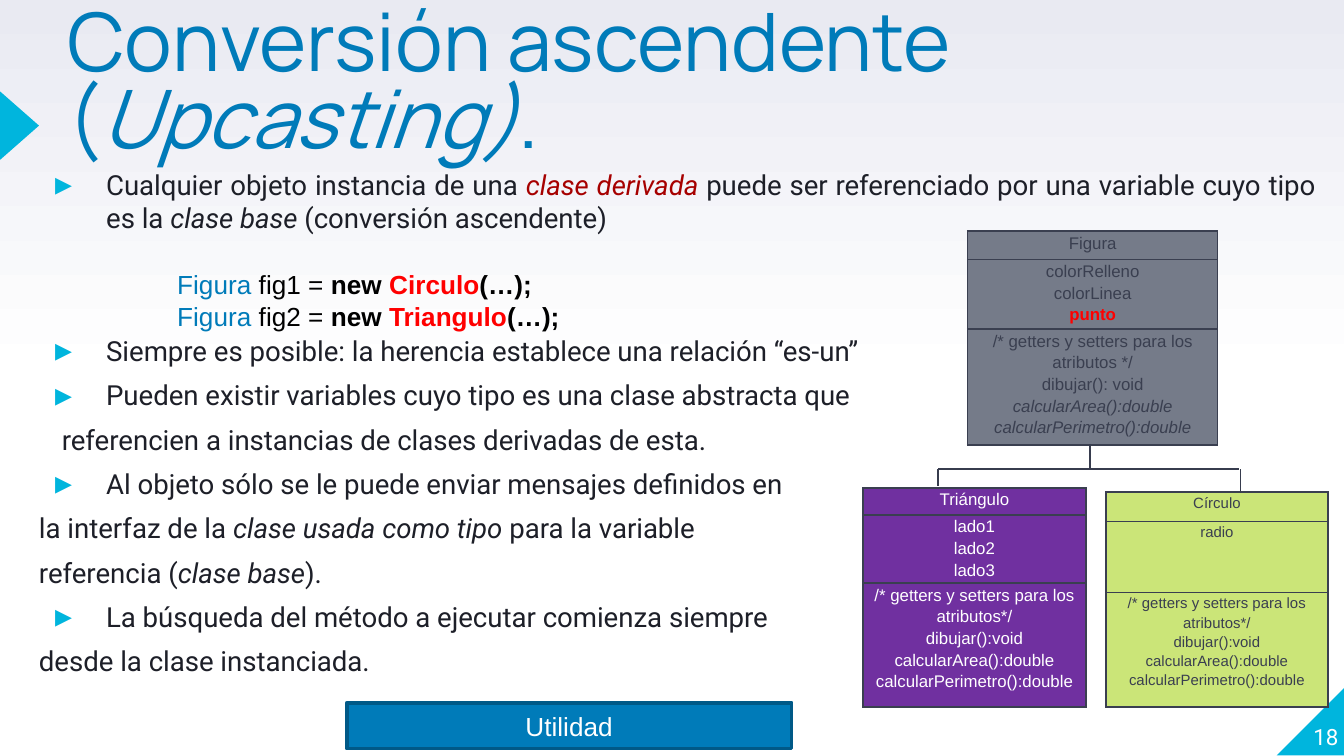
from copy import deepcopy

from lxml import etree
from pptx import Presentation
from pptx import util as u
from pptx.dml.color import RGBColor
from pptx.enum import shapes, text
from pptx.oxml.ns import qn

Inches, Pt = u.Inches, u.Pt
COLORS = {
    "cyan": "00B5DD", "blue": "007BB9", "navy": "005987", "ink": "1D1F28",
    "dark_red": "A60000", "red": "FF0000", "black": "000000", "white": "FFFFFF",
    "mist": "E9EAF2", "slate": "3A3F50", "line": "373C4E",
    "gray": "757B89", "lime": "CBE578", "purple": "7030A0",
}
RGB = {name: RGBColor.from_string(value) for name, value in COLORS.items()}
ALIGN = text.PP_ALIGN


def add_runs(paragraph, runs, **base):
    """Add (text, format) runs, each format overriding the base one."""
    for words, changes in runs:
        run = paragraph.add_run()
        run.text = words
        for key, value in {"bold": False, "italic": False, **base, **changes}.items():
            if key == "color":
                run.font.color.rgb = RGB[value]
            else:
                setattr(run.font, key, value)


def set_frame(frame, margins=(0, 0, 0, 0), anchor=text.MSO_ANCHOR.TOP):
    """Set wrapping, anchor and margins (left, top, right, bottom)."""
    frame.word_wrap = True
    frame.auto_size = text.MSO_AUTO_SIZE.NONE
    frame.vertical_anchor = anchor
    for side, margin in zip(("left", "top", "right", "bottom"), margins):
        setattr(frame, f"margin_{side}", Inches(margin))


prs = Presentation()
prs.slide_width = Inches(10)
prs.slide_height = Inches(10) * 9 // 16
slide = prs.slides.add_slide(prs.slide_layouts[5])

# Background: white, with a light tint towards the top
background = slide.background.fill
background.gradient()
background.gradient_angle = 90
first_stop = next(slide.element.iter(qn("a:gs")))
first_stop.addnext(deepcopy(first_stop))
for stop, position, color in zip(background.gradient_stops, (0, 0.5, 1), ("white", "white", "mist")):
    stop.position = position
    stop.color.rgb = RGB[color]

# Corner and title marker
corner = slide.shapes.add_shape(
    shapes.MSO_SHAPE.RIGHT_TRIANGLE, Inches(9.5), Inches(5.11), Inches(0.51), Inches(0.51))
corner.element.spPr.find(qn("a:xfrm")).set("flipH", "1")
marker = slide.shapes.add_shape(
    shapes.MSO_SHAPE.ISOSCELES_TRIANGLE, Inches(-0.11), Inches(0.79), Inches(0.51), Inches(0.29))
marker.rotation = 90
for ornament in (corner, marker):
    ornament.shadow.inherit = False
    ornament.fill.solid()
    ornament.fill.fore_color.rgb = RGB["cyan"]
    ornament.line.fill.background()

# Title
title = slide.shapes.title
title.left, title.top, title.width, title.height = map(Inches, (0.5, 0.07, 9.5, 1.18))
set_frame(title.text_frame)
heading = title.text_frame.paragraphs[0]
heading.alignment = ALIGN.LEFT
heading.line_spacing = 0.8
add_runs(heading, [("Conversión ascendente (", {}), ("Upcasting)", {"italic": True}), (".", {})],
         name="Manrope", size=Pt(43.2), color="blue")

# Slide number
number = slide.shapes.add_textbox(Inches(9.46), Inches(5.07), Inches(0.5), Inches(0.51)).text_frame
set_frame(number, anchor=text.MSO_ANCHOR.BOTTOM)
number.paragraphs[0].alignment = ALIGN.RIGHT
add_runs(number.paragraphs[0], [("18", {})], name="Roboto", size=Pt(12), color="white")

# Explanation: (bulleted, left margin, space before, runs)
ITALIC = {"italic": True}
CODE_GAP = 53.4  # leaves room for the code sample
points = [
    (True, 0.5, 6, [("Cualquier objeto instancia de una ", {}),
                    ("clase derivada ", {"italic": True, "color": "dark_red"}),
                    ("puede ser referenciado por una variable cuyo tipo es la ", {}),
                    ("clase base ", ITALIC), ("(conversión ascendente)", {})]),
    (True, 0.5, CODE_GAP, [("Siempre es posible: la herencia establece una relación “es-un”", {})]),
    (True, 0.5, 6, [("Pueden existir variables cuyo tipo es una clase abstracta que", {})]),
    (False, 0.17, 6, [("referencien a instancias de clases derivadas de esta.", {})]),
    (True, 0.5, 6, [("Al objeto sólo se le puede enviar mensajes definidos en", {})]),
    (False, 0, 6, [("la interfaz de la ", {}), ("clase usada como tipo", ITALIC),
                   (" para la variable", {})]),
    (False, 0, 6, [("referencia (", {}), ("clase base", ITALIC), (").", {})]),
    (True, 0.5, 6, [("La búsqueda del método a ejecutar comienza siempre", {})]),
    (False, 0, 6, [("desde la clase instanciada.", {})]),
]
body = slide.shapes.add_textbox(Inches(0.29), Inches(1.25), Inches(9.5), Inches(4)).text_frame
set_frame(body)
for index, (bulleted, margin, gap, runs) in enumerate(points):
    paragraph = body.add_paragraph() if index else body.paragraphs[0]
    paragraph.alignment = ALIGN.JUSTIFY
    paragraph.space_before = Pt(gap)
    props = paragraph._p.get_or_add_pPr()
    props.set("marL", str(Inches(margin)))
    props.set("indent", str(Inches(-0.38 if bulleted else 0)))
    if bulleted:
        bullet_color = etree.SubElement(props, qn("a:buClr"))
        etree.SubElement(bullet_color, qn("a:srgbClr"), val=COLORS["cyan"])
        etree.SubElement(props, qn("a:buSzPct"), val="122000")
        etree.SubElement(props, qn("a:buFont"), typeface="Roboto")
        etree.SubElement(props, qn("a:buChar"), char="▸")
    add_runs(paragraph, runs, name="Roboto", size=Pt(14.8), color="ink")

# Code sample
code = slide.shapes.add_textbox(Inches(1.22), Inches(1.95), Inches(4.02), Inches(0.57)).text_frame
set_frame(code, (0.1, 0.05, 0.1, 0.05))
for index, (variable, subclass) in enumerate([("fig1", "Circulo"), ("fig2", "Triangulo")]):
    statement = code.add_paragraph() if index else code.paragraphs[0]
    add_runs(statement, [("Figura", {"color": "blue"}), (f" {variable} = ", {}),
                         ("new ", {"bold": True}), (subclass, {"bold": True, "color": "red"}),
                         ("(…);", {"bold": True})],
             name="Arial", size=Pt(14), color="black")

# Class diagram: left, top, width, row heights, fill, font size, text colour, rows
METHODS = ["/* getters y setters para los atributos*/", "dibujar():void",
           "calcularArea():double", "calcularPerimetro():double"]
FIGURE_METHODS = ["/* getters y setters para los atributos */", "dibujar(): void", *METHODS[2:]]
classes = [
    (7.2, 1.72, 1.86, (0.21, 0.52, 0.86), "gray", 9, "slate",
     (["Figura"], ["colorRelleno", "colorLinea", "punto"], FIGURE_METHODS)),
    (8.23, 3.66, 1.65, (0.22, 0.53, 0.85), "lime", 8, "slate",
     (["Círculo"], ["radio"], METHODS)),
    (6.42, 3.63, 1.66, (0.2, 0.51, 0.92), "purple", 9, "white",
     (["Triángulo"], ["lado1", "lado2", "lado3"], METHODS)),
]
for left, top, width, heights, fill, size, color, sections in classes:
    table = slide.shapes.add_table(
        3, 1, Inches(left), Inches(top), Inches(width), Inches(sum(heights))).table
    table.first_row = table.horz_banding = False
    for row, (height, lines) in enumerate(zip(heights, sections)):
        table.rows[row].height = Inches(height)
        cell = table.cell(row, 0)
        cell.margin_left = cell.margin_right = Inches(0.07)
        cell.margin_top = cell.margin_bottom = 0
        cell.fill.solid()
        cell.fill.fore_color.rgb = RGB[fill]
        for position, edge in enumerate(("lnL", "lnR", "lnT", "lnB")):
            border = etree.Element(qn(f"a:{edge}"), w=str(Pt(1)))
            stroke = etree.SubElement(border, qn("a:solidFill"))
            etree.SubElement(stroke, qn("a:srgbClr"), val=COLORS["slate"])
            cell._tc.get_or_add_tcPr().insert(position, border)
        for index, member in enumerate(lines):
            paragraph = cell.text_frame.add_paragraph() if index else cell.text_frame.paragraphs[0]
            paragraph.alignment = ALIGN.CENTER
            paragraph.line_spacing = 1.15
            changes = {}
            if member == "punto":
                changes = {"bold": True, "color": "red"}
            elif lines is FIGURE_METHODS and member.startswith("calcular"):
                changes = ITALIC  # abstract methods
            add_runs(paragraph, [(member, changes)], name="Arial", size=Pt(size), color=color)

# Inheritance lines
for x1, y1, x2, y2 in [(6.98, 3.49, 9.22, 3.49), (8.11, 3.3, 8.11, 3.48),
                       (6.98, 3.49, 6.98, 3.62), (9.23, 3.49, 9.23, 3.67)]:
    branch = slide.shapes.add_connector(
        shapes.MSO_CONNECTOR.STRAIGHT, Inches(x1), Inches(y1), Inches(x2), Inches(y2))
    branch.line.color.rgb = RGB["line"]
    branch.line.width = Pt(0.75)
    etree.SubElement(branch.element.spPr, qn("a:effectLst"))

# Utility button
button = slide.shapes.add_shape(
    shapes.MSO_SHAPE.RECTANGLE, Inches(2.58), Inches(5.23), Inches(3.31), Inches(0.34))
button.shadow.inherit = False
button.fill.solid()
button.fill.fore_color.rgb = RGB["blue"]
button.line.color.rgb = RGB["navy"]
button.line.width = Pt(2)
set_frame(button.text_frame, (0.1, 0.05, 0.1, 0.05), text.MSO_ANCHOR.MIDDLE)
button.text_frame.paragraphs[0].alignment = ALIGN.CENTER
add_runs(button.text_frame.paragraphs[0], [("Utilidad", {})],
         name="Arial", size=Pt(14), color="white")

prs.save("out.pptx")
